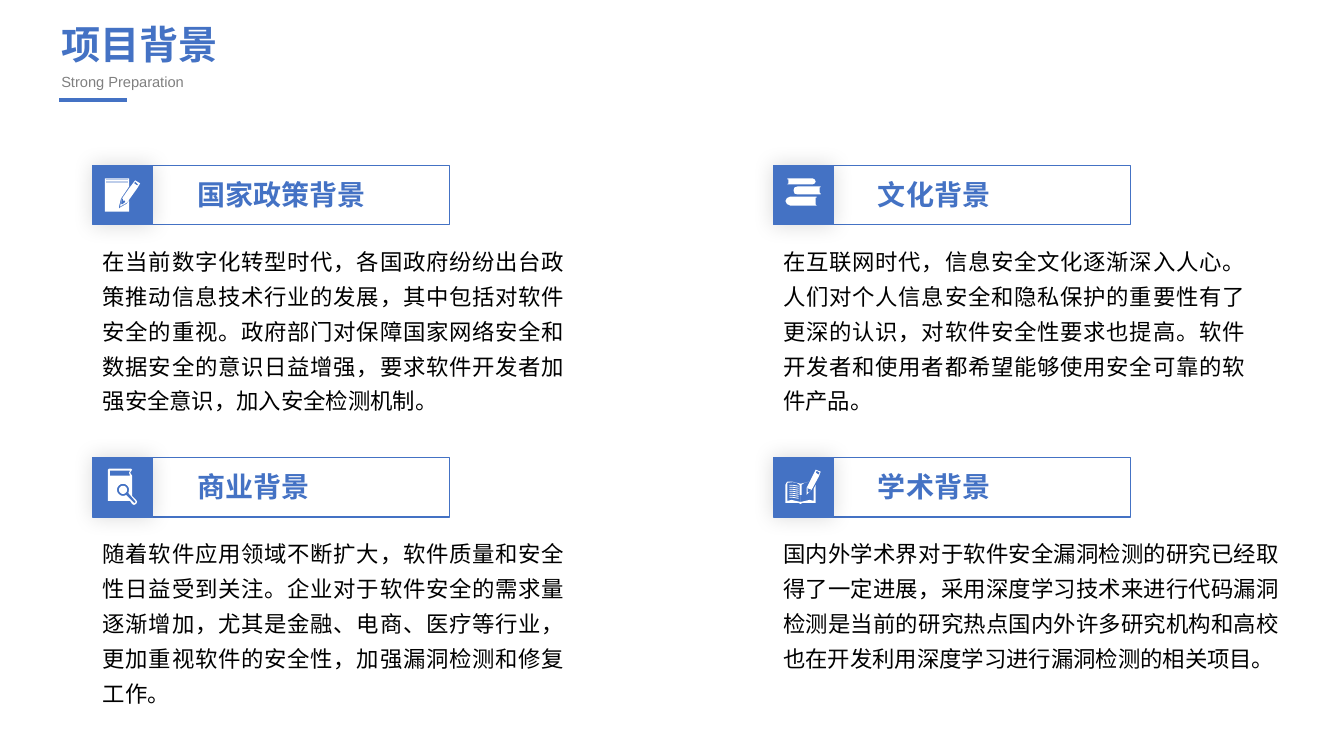
from math import cos, radians, sin

from lxml import etree
from pptx import Presentation
from pptx.dml.color import RGBColor
from pptx.enum.shapes import MSO_CONNECTOR, MSO_SHAPE
from pptx.enum.text import MSO_ANCHOR, MSO_AUTO_SIZE, PP_ALIGN
from pptx.oxml.ns import qn
from pptx.util import Inches, Pt

STRAIGHT = MSO_CONNECTOR.STRAIGHT
RECTANGLE = MSO_SHAPE.RECTANGLE
TOP = MSO_ANCHOR.TOP
GROW = MSO_AUTO_SIZE.SHAPE_TO_FIT_TEXT
JUSTIFY = PP_ALIGN.JUSTIFY
TITLE_ONLY = 5

COLORS = {"blue": "4472C4", "gray": "808080", "black": "000000", "white": "FFFFFF"}
COLUMNS = (0.92, 7.67)
ROWS = (1.64, 4.54)
TILE = 0.59


def stripe(y):
    return [(13, y), (35, y), (35, y + 0.4), (13, y + 0.4)]


def text_row(y):
    return [(16, y), (19, y), (25, y + 1), (25, y + 1.8), (19, y + 0.8), (16, y + 0.8)]


def arc(x, y, radius, start, end):
    angles = [radians(angle) for angle in range(start, end, 15)]
    return [(x + radius * cos(angle), y + radius * sin(angle)) for angle in angles]


NOTE_ICON = [
    [(12, 13), (36, 13), (36, 21), (28, 33), (26, 41), (26, 43), (27, 42),
     (34, 38), (36, 35), (36, 46), (12, 46)],
    *[stripe(y) for y in (14, 15.5, 17)],
    [(42, 15), (47, 18), (44, 23), (34, 37), (27, 41), (29, 33), (36, 23), (39, 19)],
    [(30, 33), (29, 33), (28, 38), (29, 39), (33, 36), (34, 36), (32, 36), (32, 35), (30, 35)],
    [(42, 16), (41, 18), (44, 20), (45, 19)],
]
BOOKS_ICON = [
    [(42, 32), (42, 39), (43, 40), (17, 40), (13.5, 38.5), (12, 35.5), (13.5, 32.5),
     (17, 31), (43, 31), (43, 32)],
    [(46, 27), (46, 22), (47, 21.5), (47, 21), (24, 21), (21, 22), (20, 25), (21, 28),
     (24, 29), (47, 29), (47, 28)],
    [(15, 18), (14, 18.5), (14, 19), (39, 19), (41, 18), (42, 16), (41, 14), (39, 13),
     (14, 13), (14, 14), (15, 14)],
]
SEARCH_ICON = [
    [(15, 12), (16, 11), (38, 11), (39, 12), (37, 15), (39, 18), (39, 38), (43, 42),
     (44, 44), (43, 46), (41, 47), (39, 46), (37, 43), (15, 43)],
    [(17, 13), (17, 18), (37, 18), (36, 15), (37, 13)],
    arc(30, 32, 6, 60, 391) + [(42, 43), (42.5, 44), (42, 45), (41, 45), (34, 38)],
    arc(30, 32, 4, 0, 360),
]
STUDY_ICON = [
    [(19, 24), (27, 26), (35, 24), (31, 25), (28, 27), (28, 37), (27, 37), (27, 44),
     (36, 42), (40, 43), (40, 31), (42, 27), (42, 45), (29, 45), (27, 46), (25, 45),
     (12, 45), (12, 27), (13, 25), (14, 24)],
    [(14, 25), (19, 24.4), (23, 25), (26, 27), (26, 37), (27, 37), (27, 44), (18, 42), (14, 43)],
    *[text_row(y) for y in range(27, 40, 2)],
    [(42, 12), (47, 14), (45, 19), (38, 32), (33, 37), (33, 30), (40, 16)],
    [(43, 13), (42, 15), (45, 17), (46, 15)],
    [(34, 29), (34, 34), (35, 35), (38, 32), (36, 31), (35, 31)],
]

SECTIONS = (
    ("国家政策背景", NOTE_ICON, 4.78, 1.82,
     "在当前数字化转型时代，各国政府纷纷出台政策推动信息技术行业的发展，其中包括对软件安全的重视。政府部门对保障国家网络安全和数据安全的意识日益增强，要求软件开发者加强安全意识，加入安全检测机制。"),
    ("文化背景", BOOKS_ICON, 4.78, 1.82,
     "在互联网时代，信息安全文化逐渐深入人心。人们对个人信息安全和隐私保护的重要性有了更深的认识，对软件安全性要求也提高。软件开发者和使用者都希望能够使用安全可靠的软件产品。"),
    ("商业背景", SEARCH_ICON, 4.78, 1.82,
     "随着软件应用领域不断扩大，软件质量和安全性日益受到关注。企业对于软件安全的需求量逐渐增加，尤其是金融、电商、医疗等行业，更加重视软件的安全性，加强漏洞检测和修复工作。"),
    ("学术背景", STUDY_ICON, 5.12, 1.5,
     "国内外学术界对于软件安全漏洞检测的研究已经取得了一定进展，采用深度学习技术来进行代码漏洞检测是当前的研究热点国内外许多研究机构和高校也在开发利用深度学习进行漏洞检测的相关项目。"),
)


def rgb(name):
    return RGBColor.from_string(COLORS[name])


def write_text(box, text, size=16, color="black", bold=False, spacing=1.0):
    frame = box.text_frame
    frame.word_wrap = True
    frame.auto_size = GROW
    frame.vertical_anchor = TOP
    para = frame.paragraphs[0]
    para.alignment = JUSTIFY
    para.line_spacing = spacing
    span = para.add_run()
    span.text = text
    span.font.name = "Arial"
    span.font.size = Pt(size)
    span.font.bold = bold
    span.font.color.rgb = rgb(color)


def add_text(page, left, top, width, height, text, **style):
    box = page.shapes.add_textbox(Inches(left), Inches(top), Inches(width), Inches(height))
    write_text(box, text, **style)


def add_box(page, left, top, width, fill):
    box = page.shapes.add_shape(
        RECTANGLE, Inches(left), Inches(top), Inches(width), Inches(TILE))
    box.shadow.inherit = False
    box.fill.solid()
    box.fill.fore_color.rgb = rgb(fill)
    box.line.color.rgb = rgb("blue")
    box.line.width = Pt(1)
    return box


def add_glow(box):
    effects = box._element.spPr.find(qn("a:effectLst"))
    shadow = etree.SubElement(effects, qn("a:outerShdw"), blurRad=str(Pt(15)), dist="0",
                              dir="0", algn="ctr", rotWithShape="0")
    color = etree.SubElement(shadow, qn("a:srgbClr"), val=COLORS["black"])
    etree.SubElement(color, qn("a:alpha"), val="15000")


def add_icon(page, left, top, contours):
    outlines = [[(round(x * 10), round(y * 10)) for x, y in points] for points in contours]
    builder = page.shapes.build_freeform(*outlines[0][0], scale=Inches(1) / 1000)
    for index, points in enumerate(outlines):
        if index:
            builder.move_to(*points[0])
        builder.add_line_segments(points[1:], close=True)
    icon = builder.convert_to_shape(Inches(left), Inches(top))
    icon.shadow.inherit = False
    icon.fill.solid()
    icon.fill.fore_color.rgb = rgb("white")
    icon.line.fill.background()


def add_header(page):
    title = page.shapes.title
    title.left, title.top = Inches(0.51), Inches(0.15)
    title.width, title.height = Inches(2.31), Inches(0.57)
    write_text(title, "项目背景", size=28, color="blue", bold=True)
    add_text(page, 0.51, 0.64, 2.87, 0.29, "Strong Preparation",
             size=10.5, color="gray", spacing=1.2)
    rule = page.shapes.add_connector(
        STRAIGHT, Inches(0.59), Inches(0.99), Inches(1.26), Inches(0.99))
    rule.line.color.rgb = rgb("blue")
    rule.line.width = Pt(3)
    etree.SubElement(rule._element.spPr, qn("a:effectLst"))


def add_section(page, left, top, heading, icon, width, height, body):
    add_box(page, left + TILE, top, 2.95, "white")
    add_text(page, left + 0.94, top + 0.07, 2.26, 0.44, heading,
             size=20, color="blue", bold=True)
    add_text(page, left, top + 0.69, width, height, body, spacing=1.3)
    add_glow(add_box(page, left, top, TILE, "blue"))
    add_icon(page, left, top, icon)


def main():
    deck = Presentation()
    deck.slide_width, deck.slide_height = Inches(13.33), Inches(7.5)
    page = deck.slides.add_slide(deck.slide_layouts[TITLE_ONLY])
    add_header(page)
    for index, section in enumerate(SECTIONS):
        row, column = divmod(index, 2)
        add_section(page, COLUMNS[column], ROWS[row], *section)
    deck.save("out.pptx")


if __name__ == "__main__":
    main()
